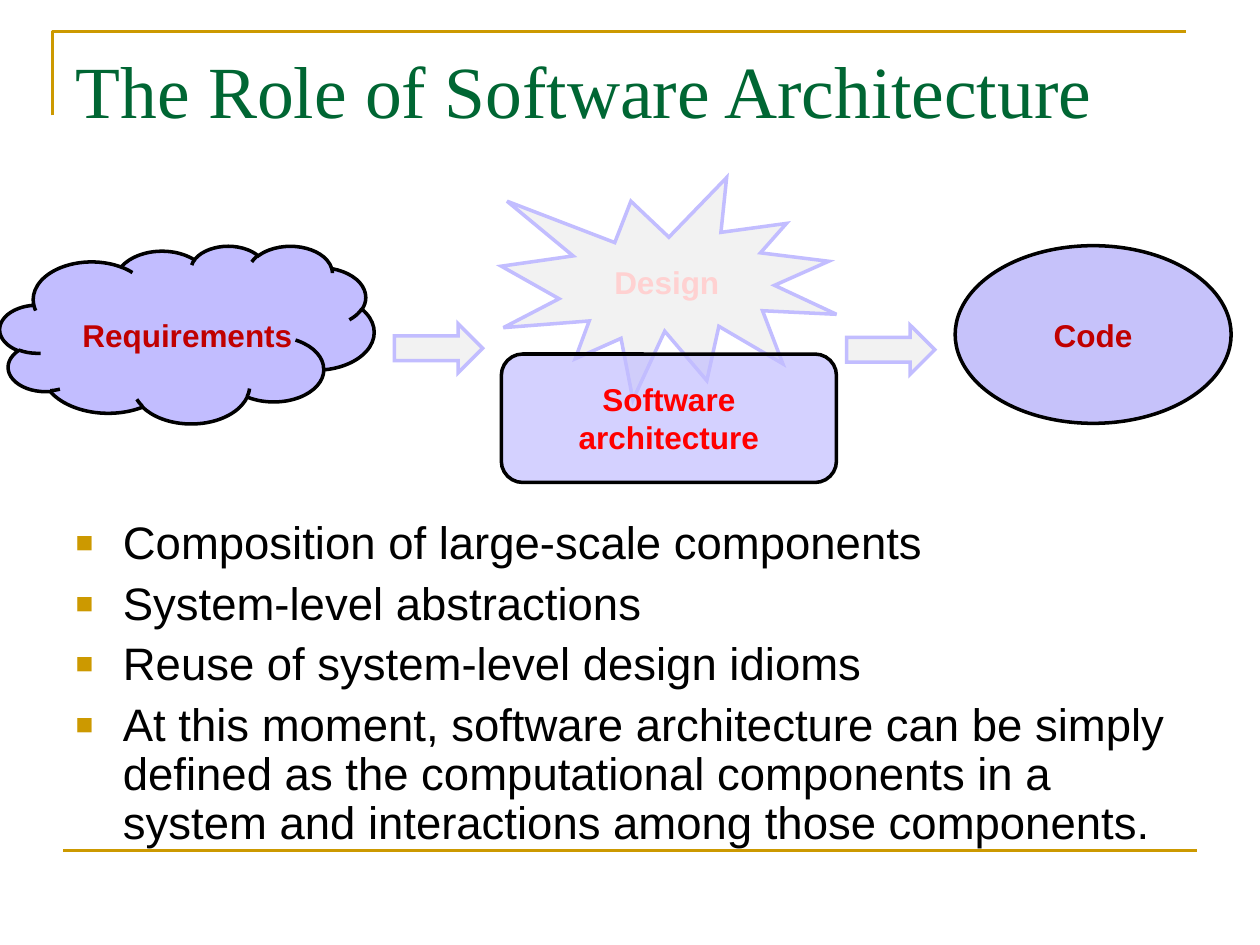
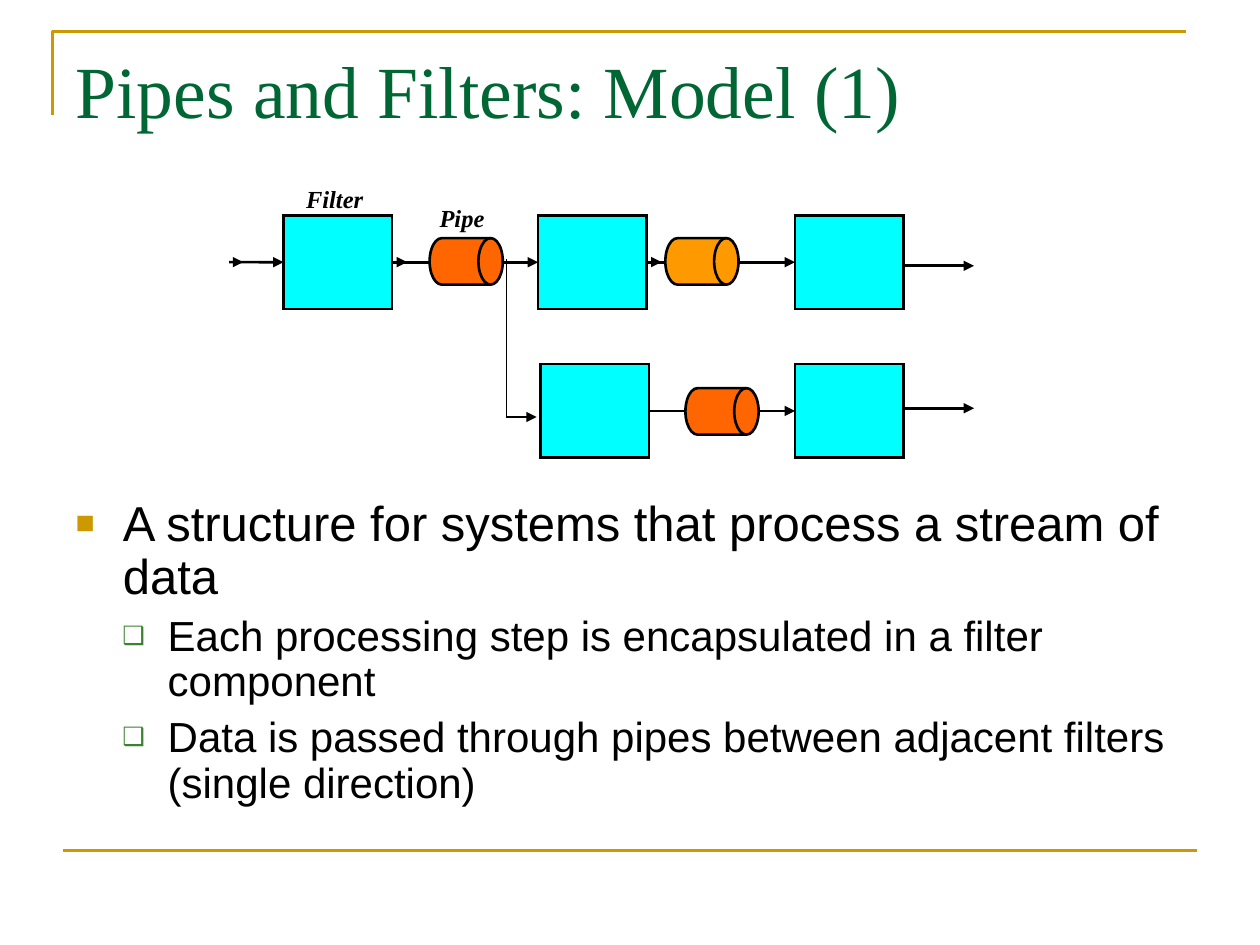
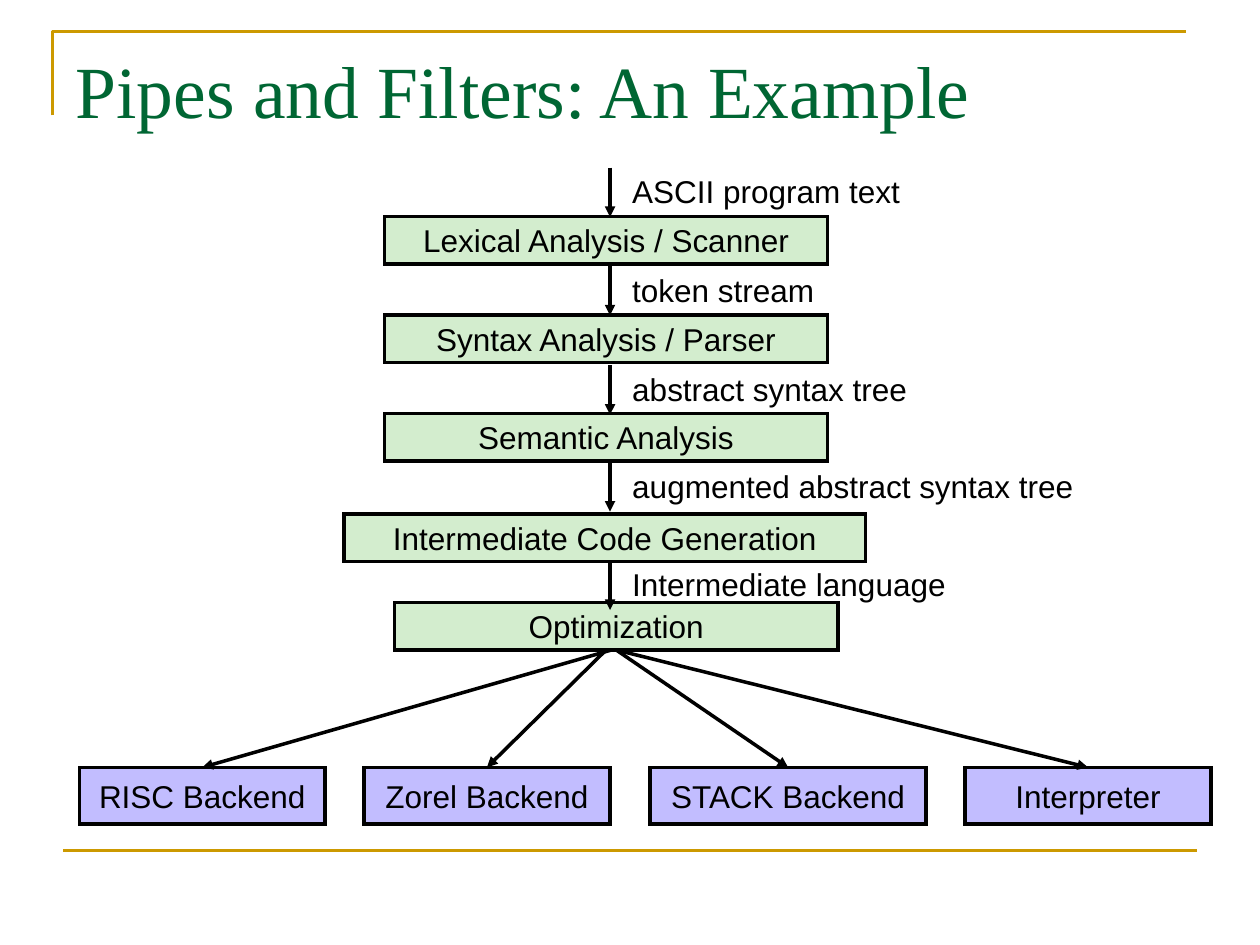
from dataclasses import dataclass

import pptx
import pptx.dml.color
import pptx.enum.shapes
import pptx.enum.text
import pptx.oxml.ns
import pptx.util
from lxml import etree

Pt = pptx.util.Pt
RGB = pptx.dml.color.RGBColor.from_string
SHAPE = pptx.enum.shapes.MSO_SHAPE
CONNECTOR = pptx.enum.shapes.MSO_CONNECTOR
ALIGN = pptx.enum.text.PP_ALIGN
ANCHOR = pptx.enum.text.MSO_ANCHOR
qn = pptx.oxml.ns.qn


@dataclass(frozen=True)
class Theme:
    serif: str = "Times New Roman"
    sans: str = "Arial"
    title: str = "006633"
    gold: str = "CC9900"
    sub_bullet: str = "3B812F"
    black: str = "000000"
    lilac: str = "C2BDFF"
    pale_lilac: str = "C6C2FA"
    faded: str = "F2F2F2"
    faded_text: str = "FFD1D1"
    dark_red: str = "C00000"
    red: str = "FF0000"
    cyan: str = "00FFFF"
    orange: str = "FF6600"
    amber: str = "FF9900"
    green: str = "D3EDCE"
    title_size: float = 42
    node_size: float = 18
    label_size: float = 14


T = Theme()


def add_node(s, kind, box, fill=None, line=T.black, weight=2, text="",
             color=T.black, bold=False, italic=False, font=T.sans,
             size=T.node_size, align=ALIGN.CENTER):
    """Add a filled shape with text, or a plain text box when kind is None."""
    box = [Pt(v) for v in box]
    if kind is None:
        sp = s.shapes.add_textbox(*box)
    else:
        sp = s.shapes.add_shape(kind, *box)
        sp.shadow.inherit = False
        sp.fill.solid()
        sp.fill.fore_color.rgb = RGB(fill)
        sp.line.color.rgb = RGB(line)
        sp.line.width = Pt(weight)
        etree.SubElement(sp.element.spPr.get_or_add_ln(), qn("a:miter"), lim="800000")
        sp.text_frame.vertical_anchor = ANCHOR.MIDDLE
    tf = sp.text_frame
    tf.word_wrap = True
    for i, words in enumerate(text.split("\n") if text else []):
        p = tf.add_paragraph() if i else tf.paragraphs[0]
        p.alignment = align
        r = p.add_run()
        r.text = words
        r.font.name, r.font.size = font, Pt(size)
        r.font.bold, r.font.italic = bold, italic
        r.font.color.rgb = RGB(color)
    return sp


def add_line(s, x1, y1, x2, y2, weight=1.5, color=T.black, arrow=True):
    c = s.shapes.add_connector(CONNECTOR.STRAIGHT, Pt(x1), Pt(y1), Pt(x2), Pt(y2))
    c.line.color.rgb = RGB(color)
    c.line.width = Pt(weight)
    if arrow:
        etree.SubElement(c.element.spPr.get_or_add_ln(), qn("a:tailEnd"), type="triangle")
    etree.SubElement(c.element.spPr, qn("a:effectLst"))
    return c


prs = pptx.Presentation()
prs.slide_width, prs.slide_height = Pt(720), Pt(540)

# Slides with titles and bullet lists: (level, text, size, space before)
contents = [
    ("The Role of Software Architecture", 293.8, 201.6, [
        (0, "Composition of large-scale components", 26, 6.5),
        (0, "System-level abstractions", 26, 6.5),
        (0, "Reuse of system-level design idioms", 26, 6.5),
        (0, "At this moment, software architecture can be simply defined as the "
            "computational components in a system and interactions among those "
            "components.", 26, 6.5)]),
    ("Pipes and Filters: Model (1)", 281.5, 193.7, [
        (0, "A structure for systems that process a stream of data", 28, 7),
        (1, "Each processing step is encapsulated in a filter component", 24, 6),
        (1, "Data is passed through pipes between adjacent filters "
            "(single direction)", 24, 6)]),
    ("Pipes and Filters: An Example", 0, 0, []),
]
bullets = [("■", T.gold, 65000, 27, -27), ("❑", T.sub_bullet, 60000, 52.6, -25.9)]

for title, top, height, items in contents:
    s = prs.slides.add_slide(prs.slide_layouts[1 if items else 5])
    sp = s.shapes.title
    sp.left, sp.top, sp.width, sp.height = Pt(36), Pt(22), Pt(648), Pt(90)
    tf = sp.text_frame
    tf.vertical_anchor = ANCHOR.TOP
    tf.auto_size = pptx.enum.text.MSO_AUTO_SIZE.NONE
    p = tf.paragraphs[0]
    p.alignment = ALIGN.LEFT
    r = p.add_run()
    r.text = title
    r.font.name, r.font.size = T.serif, Pt(T.title_size)
    r.font.color.rgb = RGB(T.title)

    if not items:
        continue
    sp = s.placeholders[1]
    sp.left, sp.top, sp.width, sp.height = Pt(36), Pt(top), Pt(648), Pt(height)
    tf = sp.text_frame
    tf.auto_size = pptx.enum.text.MSO_AUTO_SIZE.NONE
    for i, (level, words, size, before) in enumerate(items):
        p = tf.add_paragraph() if i else tf.paragraphs[0]
        p.level = level
        p.line_spacing = 0.9
        p.space_before = Pt(before if i else 0)
        char, color, percent, margin, indent = bullets[level]
        pPr = p._p.get_or_add_pPr()
        pPr.set("marL", str(Pt(margin)))
        pPr.set("indent", str(Pt(indent)))
        clr = etree.SubElement(pPr, qn("a:buClr"))
        etree.SubElement(clr, qn("a:srgbClr"), val=color)
        etree.SubElement(pPr, qn("a:buSzPct"), val=str(percent))
        etree.SubElement(pPr, qn("a:buFont"), typeface=T.sans)
        etree.SubElement(pPr, qn("a:buChar"), char=char)
        r = p.add_run()
        r.text = words
        r.font.name, r.font.size = T.sans, Pt(size)
        r.font.color.rgb = RGB(T.black)

role, model, example = prs.slides

# Gold frame lines, moved to the slide master so that every slide shows them
fb = role.shapes.build_freeform(Pt(30), Pt(66), scale=1.0)
fb.add_line_segments([(Pt(30), Pt(18)), (Pt(678), Pt(18))], close=False)
corner = fb.convert_to_shape()
corner.shadow.inherit = False
corner.fill.background()
corner.line.color.rgb = RGB(T.gold)
corner.line.width = Pt(1.5)
base = add_line(role, 36, 486, 684, 486, color=T.gold, arrow=False)
for number, sp in enumerate((corner, base), start=101):
    sp.element.xpath(".//p:cNvPr")[0].set("id", str(number))
    prs.slide_master.element.cSld.spTree.append(sp.element)

# Slide 1: from requirements through design to code
s = role
add_node(s, SHAPE.EXPLOSION1, (286.5, 101.5, 191.5, 127), T.faded, T.lilac,
         text="Design", color=T.faded_text, bold=True)
cloud = add_node(s, SHAPE.CLOUD, (0, 140.4, 213.8, 101.5), T.lilac,
                 text="Requirements", color=T.dark_red, bold=True)
tf = cloud.text_frame
tf.margin_left, tf.margin_right = Pt(15.6), 0
tf.margin_top, tf.margin_bottom = Pt(5), 0
add_node(s, SHAPE.OVAL, (545.8, 140.4, 157.7, 101.5), T.pale_lilac,
         text="Code", color=T.dark_red, bold=True)
for x, y in ((225.4, 185), (483.8, 185.8)):
    add_node(s, SHAPE.RIGHT_ARROW, (x, y, 50.4, 28.1), T.faded, T.lilac)
architecture = add_node(s, SHAPE.ROUNDED_RECTANGLE, (286.5, 202.3, 191.5, 73.4),
                        T.lilac, text="Software\narchitecture", color=T.red, bold=True)
clr = architecture.element.spPr.find(qn("a:solidFill")).find(qn("a:srgbClr"))
etree.SubElement(clr, qn("a:alpha"), val="69000")

# Slide 2: filters
s = model
filter_w, filter_h = 62, 53.5
filters = [add_node(s, SHAPE.RECTANGLE, (x, y, filter_w, filter_h), T.cyan, weight=1.5)
           for x, y in ((162, 123.1), (307.5, 123.1), (454.3, 123.1),
                        (308.9, 208.1), (454.3, 208.1))]

# Streams between filters, joined at the sides
for a, b in ((0, 1), (1, 2), (3, 4)):
    c = add_line(s, 0, 0, 0, 0)
    c.begin_connect(filters[a], 3)
    c.end_connect(filters[b], 1)
entry = add_line(s, 131, 149.8, 162, 149.8)
entry.end_connect(filters[0], 1)

# Short arrowheads at the sources, exits, and the branch to the second row
for x in (131, 224.6, 370):
    add_line(s, x, 149.8, x + 8, 149.8, weight=1)
for y in (151.9, 233.3):
    add_line(s, 516.2, y, 556.6, y)
add_line(s, 289.4, 148.3, 289.4, 238.3, weight=1, arrow=False)
add_line(s, 289.4, 238.3, 306.7, 238.3, weight=1)

# Pipes and labels
for x, y, color in ((245.5, 136.1, T.orange), (380.2, 136.1, T.amber),
                    (391.7, 221.8, T.orange)):
    add_node(s, SHAPE.FLOWCHART_DIRECT_ACCESS_STORAGE, (x, y, 41.8, 26.6), color, weight=1.5)
for words, x, y in (("Filter", 167.8, 101.5), ("Pipe", 244.1, 112.3)):
    add_node(s, None, (x, y, 56, 24.5), text=words, bold=True, italic=True,
             font=T.serif, size=T.label_size, align=ALIGN.LEFT)

# Slide 3: compiler stages, each with its input (name, left, top, width, input, arrow top)
s = example
stages = [
    ("Lexical Analysis / Scanner", 219.6, 123.8, 253.4, "ASCII program text", 95.8),
    ("Syntax Analysis / Parser", 219.6, 180, 253.4, "token stream", 152),
    ("Semantic Analysis", 219.6, 236.2, 253.4, "abstract syntax tree", 208.8),
    ("Intermediate Code Generation", 196.6, 293.8, 298, "augmented abstract syntax tree", 264.2),
    ("Optimization", 225.4, 344.2, 253.4, "Intermediate language", 320.4),
]
for name, x, y, w, stream, arrow_top in stages:
    stage = add_node(s, SHAPE.RECTANGLE, (x, y, w, 27.2), T.green, text=name)
    add_line(s, 348.6, arrow_top, 348.6, arrow_top + 28.2, weight=2)
    add_node(s, None, (354.2, arrow_top - 0.9, 286.6, 28.8), text=stream, align=ALIGN.LEFT)

# Backends fan out from the last stage (name, left, width, arrow start)
for name, x, w, start in (("RISC Backend", 45.4, 140.4, 349.2),
                          ("Zorel Backend", 208.1, 140.4, 346.3),
                          ("STACK Backend", 371.5, 157.7, None),
                          ("Interpreter", 551.5, 140.4, None)):
    backend = add_node(s, SHAPE.RECTANGLE, (x, 438.5, w, 32.4), T.lilac, text=name)
    c = add_line(s, start or 0, 371.5, x + w / 2, 438.5, weight=2)
    if start is None:
        c.begin_connect(stage, 2)
    c.end_connect(backend, 0)

prs.save("out.pptx")
